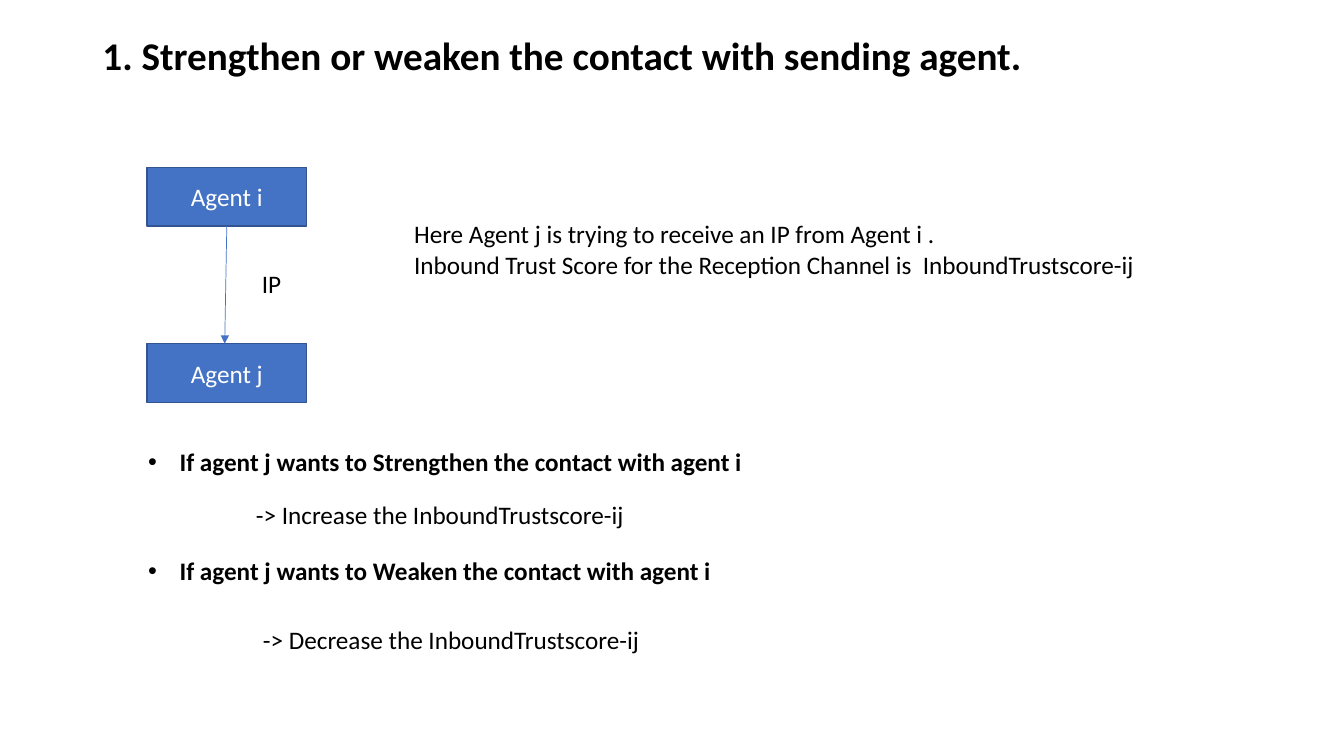
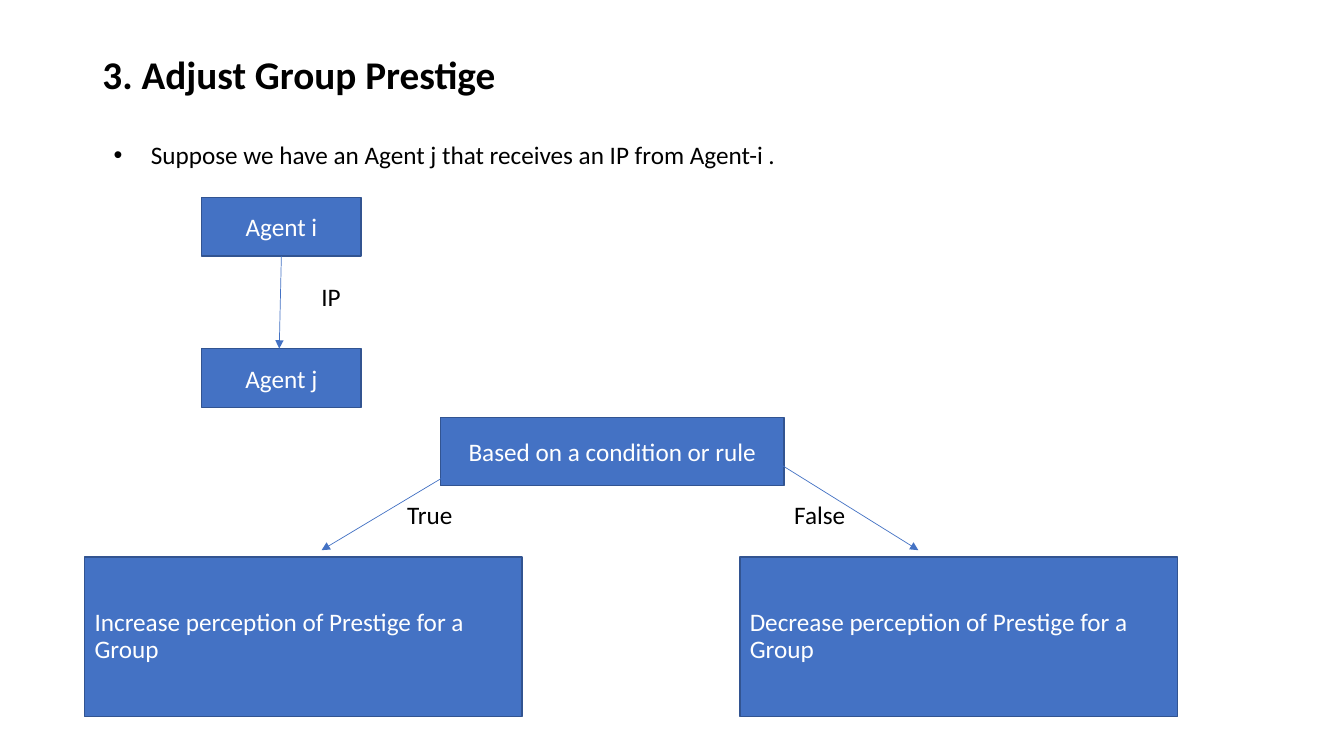
from lxml import etree
from pptx import Presentation
from pptx.dml.color import RGBColor
from pptx.enum.shapes import MSO_CONNECTOR, MSO_SHAPE
from pptx.enum.text import MSO_ANCHOR, MSO_AUTO_SIZE, PP_ALIGN
from pptx.oxml.ns import qn
from pptx.util import Pt

LEFT, CENTER = PP_ALIGN.LEFT, PP_ALIGN.CENTER
MIDDLE, TOP = MSO_ANCHOR.MIDDLE, MSO_ANCHOR.TOP
RECTANGLE, STRAIGHT = MSO_SHAPE.RECTANGLE, MSO_CONNECTOR.STRAIGHT
NO_AUTOFIT = MSO_AUTO_SIZE.NONE

FONT = "Calibri"
BLACK, WHITE, BLUE, DARK_BLUE = "000000", "FFFFFF", "4472C4", "325491"
TITLE_SIZE, TEXT_SIZE = 28, 18
TITLE_LEFT, TITLE_WIDTH, TITLE_HEIGHT = 66, 828, 81
AGENT_WIDTH, AGENT_HEIGHT = 114, 42
OUTCOME_TOP, OUTCOME_WIDTH, OUTCOME_HEIGHT = 398, 312.5, 114
LABEL_HEIGHT = 29

# Body entries: text, bulleted, bold, indent, space before
SLIDES = [
    {
        "title": ("1. Strengthen or weaken the contact with sending agent.", 1),
        "body": {
            "frame": (98.6, 315.5, 525, 160),
            "entries": [
                ("If agent j wants to Strengthen the contact with agent i", True, True, 22.5, 0),
                ("-> Increase the InboundTrustscore-ij", False, False, 77, 16),
                ("If agent j wants to Weaken the contact with agent i", True, True, 22.5, 18.7),
                ("-> Decrease the InboundTrustscore-ij", False, False, 82, 27.3),
            ],
        },
        "agents": (105, (119.5, 245.5)),
        "labels": [
            ("IP", 180, 188, 216),
            ("Here Agent j is trying to receive an IP from Agent i .\n"
             "Inbound Trust Score for the Reception Channel is  InboundTrustscore-ij", 288.7, 152.6, 539),
        ],
        "boxes": [],
        "arrows": [],
    },
    {
        "title": ("3. Adjust Group Prestige", 14.4),
        "body": {
            "frame": (74, 95.8, 779, LABEL_HEIGHT),
            "entries": [("Suppose we have an Agent j that receives an IP from Agent-i .", True, False, 26.5, 0)],
        },
        "agents": (144, (141, 249)),
        "labels": [("IP", 222.5, 197.3, 258), ("True", 283.7, 353, 63), ("False", 560.2, 353, 60.5)],
        "boxes": [
            ("Based on a condition or rule", (314.6, 298, 245.5, 49), CENTER),
            ("Increase perception of Prestige for a Group",
             (60.5, OUTCOME_TOP, OUTCOME_WIDTH, OUTCOME_HEIGHT), LEFT),
            ("Decrease perception of Prestige for a Group",
             (528.5, OUTCOME_TOP, OUTCOME_WIDTH, OUTCOME_HEIGHT), LEFT),
        ],
        "arrows": [((316, 341.3), (229.7, 393)), ((558, 332), (656, 393))],
    },
]


def color(value):
    return RGBColor.from_string(value)


def points(values):
    return [Pt(value) for value in values]


def format_paragraph(paragraph, text_color=BLACK, size=TEXT_SIZE, bold=False, align=LEFT):
    paragraph.alignment = align
    for run in paragraph.runs:
        run.font.name = FONT
        run.font.size = Pt(size)
        run.font.bold = bold
        run.font.color.rgb = color(text_color)


def place(shape, frame):
    shape.left, shape.top, shape.width, shape.height = points(frame)


def fill_title(slide, text, top):
    title = slide.shapes.title
    place(title, (TITLE_LEFT, top, TITLE_WIDTH, TITLE_HEIGHT))
    title.text_frame.text = text
    title.text_frame.auto_size = NO_AUTOFIT
    title.text_frame.vertical_anchor = MIDDLE
    paragraph = title.text_frame.paragraphs[0]
    paragraph.line_spacing = 0.9
    format_paragraph(paragraph, size=TITLE_SIZE, bold=True)


def set_bullet(paragraph, bulleted, indent):
    properties = paragraph._p.get_or_add_pPr()
    properties.set("marL", str(int(Pt(indent))))
    properties.set("indent", str(-int(Pt(indent)) if bulleted else 0))
    if bulleted:
        etree.SubElement(properties, qn("a:buFont"), typeface="Arial")
        etree.SubElement(properties, qn("a:buChar"), char="•")
    else:
        etree.SubElement(properties, qn("a:buNone"))


def fill_body(slide, frame, entries):
    body = slide.placeholders[1]
    place(body, frame)
    text_frame = body.text_frame
    text_frame.text = "\n".join(entry[0] for entry in entries)
    text_frame.auto_size = NO_AUTOFIT
    text_frame.vertical_anchor = TOP
    for paragraph, (_, bulleted, bold, indent, space) in zip(text_frame.paragraphs, entries):
        paragraph.space_before = Pt(space)
        format_paragraph(paragraph, bold=bold)
        set_bullet(paragraph, bulleted, indent)


def add_box(slide, text, frame, align=CENTER):
    box = slide.shapes.add_shape(RECTANGLE, *points(frame))
    box.shadow.inherit = False
    box.fill.solid()
    box.fill.fore_color.rgb = color(BLUE)
    box.line.color.rgb = color(DARK_BLUE)
    box.line.width = Pt(1)
    box.text_frame.text = text
    box.text_frame.word_wrap = True
    box.text_frame.vertical_anchor = MIDDLE
    paragraph = box.text_frame.paragraphs[0]
    format_paragraph(paragraph, WHITE, align=align)
    if align == LEFT:
        paragraph.line_spacing = 0.9


def add_arrow(slide, start, end):
    arrow = slide.shapes.add_connector(STRAIGHT, *points(start + end))
    arrow.line.color.rgb = color(BLUE)
    arrow.line.width = Pt(0.5)
    etree.SubElement(arrow.line._get_or_add_ln(), qn("a:tailEnd"), type="triangle")
    etree.SubElement(arrow._element.spPr, qn("a:effectLst"))


def add_label(slide, text, left, top, width):
    label = slide.shapes.add_textbox(*points((left, top, width, LABEL_HEIGHT)))
    label.text_frame.text = text
    label.text_frame.word_wrap = True
    for paragraph in label.text_frame.paragraphs:
        format_paragraph(paragraph)


def add_agents(slide, left, tops):
    for name, top in zip(("Agent i", "Agent j"), tops):
        add_box(slide, name, (left, top, AGENT_WIDTH, AGENT_HEIGHT))
    middle = left + AGENT_WIDTH / 2
    add_arrow(slide, (middle, tops[0] + AGENT_HEIGHT), (middle - 1.5, tops[1]))


def main():
    presentation = Presentation()
    presentation.slide_width, presentation.slide_height = Pt(960), Pt(540)
    for content in SLIDES:
        slide = presentation.slides.add_slide(presentation.slide_layouts[1])
        fill_title(slide, *content["title"])
        fill_body(slide, **content["body"])
        add_agents(slide, *content["agents"])
        for box in content["boxes"]:
            add_box(slide, *box)
        for arrow in content["arrows"]:
            add_arrow(slide, *arrow)
        for label in content["labels"]:
            add_label(slide, *label)
    presentation.save("out.pptx")


if __name__ == "__main__":
    main()
